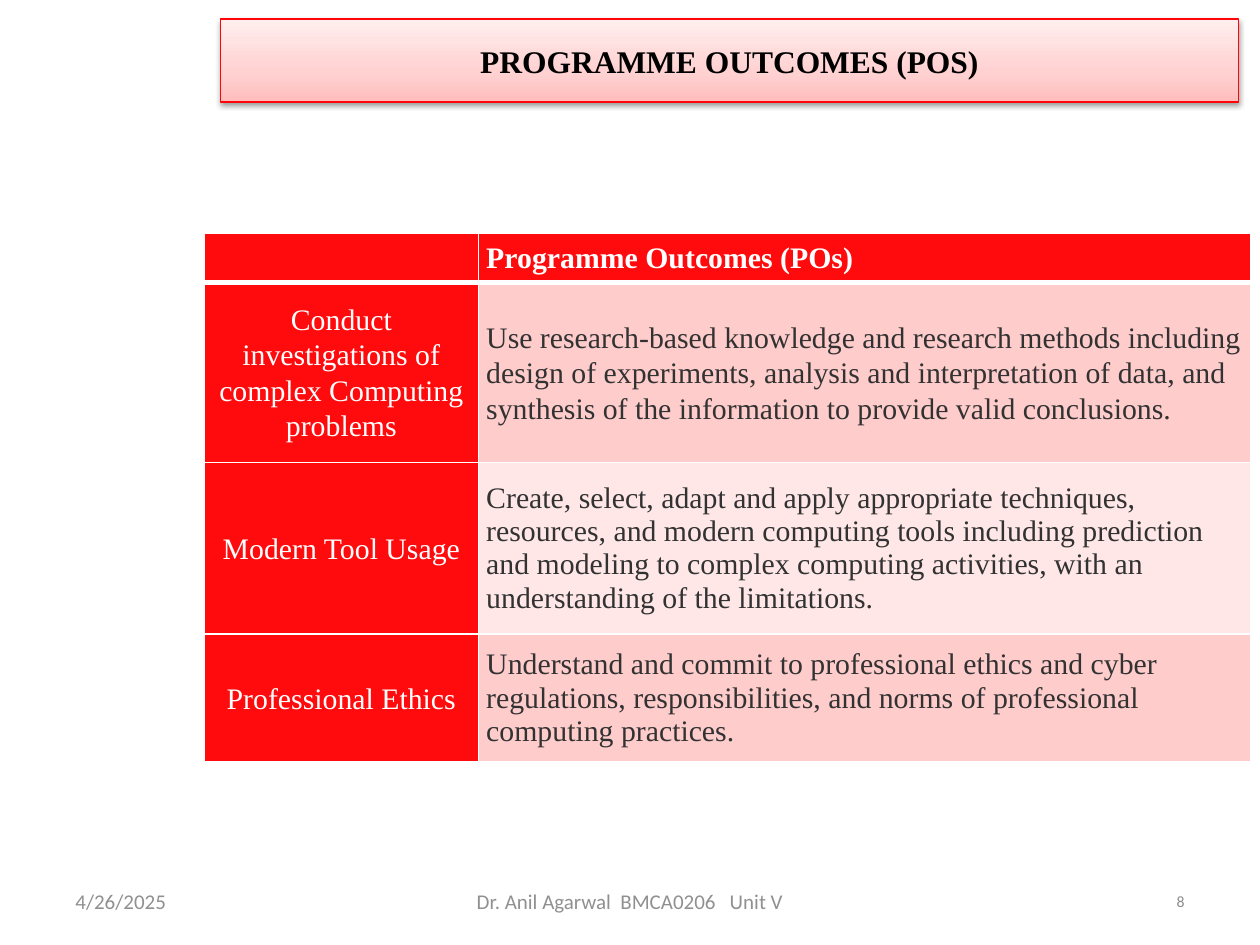
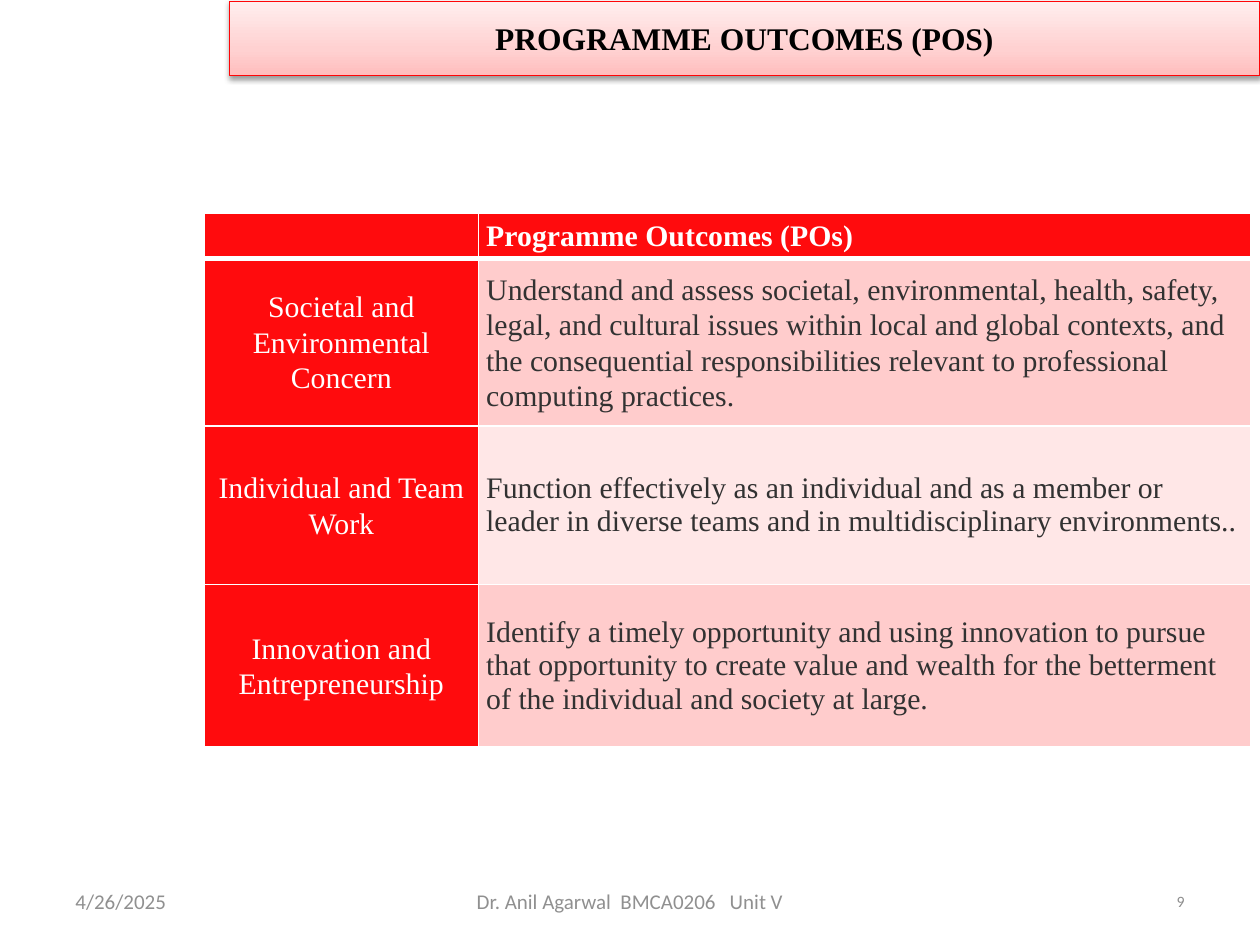
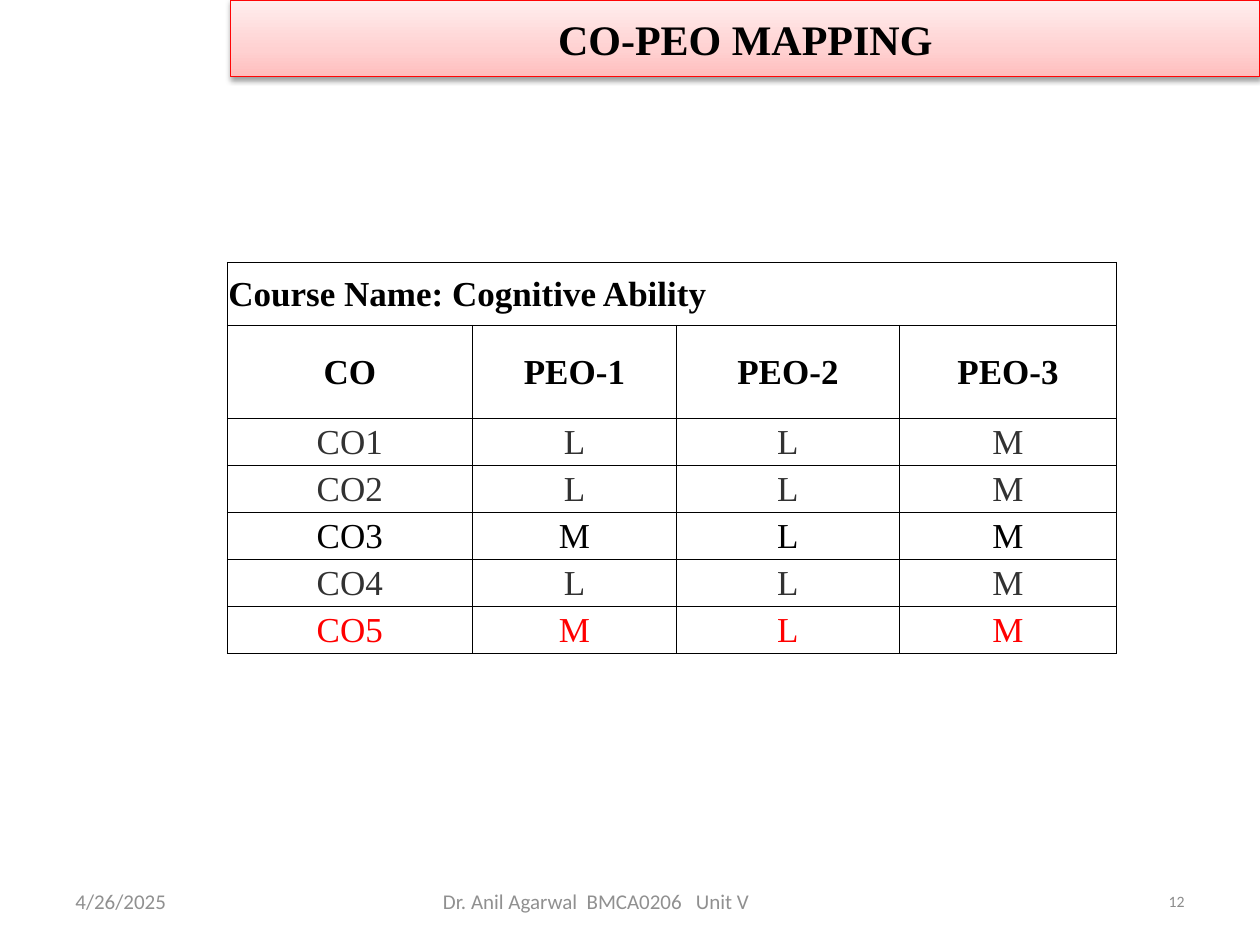
from lxml import etree
from pptx import Presentation
from pptx.dml.color import RGBColor
from pptx.enum.text import MSO_ANCHOR, PP_ALIGN
from pptx.oxml import parse_xml
from pptx.oxml.ns import nsdecls, qn
from pptx.util import Pt

# Colours and fonts
RED = RGBColor(0xFF, 0x0B, 0x0D)
EDGE = RGBColor(0xFF, 0x05, 0x07)
ALERT = RGBColor(0xFF, 0x00, 0x00)
PINK = RGBColor(0xFF, 0xCC, 0xCC)
PALE = RGBColor(0xFF, 0xE7, 0xE7)
WHITE = RGBColor(0xFF, 0xFF, 0xFF)
BLACK = RGBColor(0x00, 0x00, 0x00)
DARK = RGBColor(0x32, 0x32, 0x32)
GREY = RGBColor(0x90, 0x90, 0x90)
DIM = RGBColor(0x8C, 0x8C, 0x8C)
BAND = [(0, RGBColor(0xFF, 0xBD, 0xBD)), (35, RGBColor(0xFF, 0xD1, 0xD1)),
        (100, RGBColor(0xFF, 0xEE, 0xEE))]
SERIF, SANS = "Times New Roman", "Calibri"
LEFT, MID, RIGHT = PP_ALIGN.LEFT, PP_ALIGN.CENTER, PP_ALIGN.RIGHT

# Content: boxes are left, top, width, height in points
DATE = "4/26/2025"
FOOTER = "Dr. Anil Agarwal  BMCA0206   Unit V"
HEAD = "Programme Outcomes (POs)"
OUTCOMES = [
    dict(title="PROGRAMME OUTCOMES (POS)", band=(126, 10.8, 581.8, 47.5),
         number="8", top=133.2, heights=[28.1, 103, 97.9, 73.4], rows=[
             ("Conduct investigations of complex Computing problems",
              "Use research-based knowledge and research methods including "
              "design of experiments, analysis and interpretation of data, "
              "and synthesis of the information to provide valid conclusions."),
             ("Modern Tool Usage",
              "Create, select, adapt and apply appropriate techniques, "
              "resources, and modern computing tools including prediction "
              "and modeling to complex computing activities, with an "
              "understanding of the limitations."),
             ("Professional Ethics",
              "Understand and commit to professional ethics and cyber "
              "regulations, responsibilities, and norms of professional "
              "computing practices.")]),
    dict(title="PROGRAMME OUTCOMES (POS)", band=(131, 0.7, 589, 42.5),
         number="9", top=121.7, heights=[25.9, 95.8, 90.7, 92.9], rows=[
             ("Societal and Environmental Concern",
              "Understand and assess societal, environmental, health, safety, "
              "legal, and cultural issues within local and global contexts, "
              "and the consequential responsibilities relevant to "
              "professional computing practices."),
             ("Individual and Team Work",
              "Function effectively as an individual and as a member or "
              "leader in diverse teams and in multidisciplinary "
              "environments.."),
             ("Innovation and Entrepreneurship",
              "Identify a timely opportunity and using innovation to pursue "
              "that opportunity to create value and wealth for the betterment "
              "of the individual and society at large.")]),
]
MAPPING = dict(title="CO-PEO MAPPING", band=(131.8, 0, 588.2, 43.9), number="12")
COURSE = "Course Name: Cognitive Ability"
LEVELS = [
    ("CO", "PEO-1", "PEO-2", "PEO-3"),
    ("CO1", "L", "L", "M"),
    ("CO2", "L", "L", "M"),
    ("CO3", "M", "L", "M"),
    ("CO4", "L", "L", "M"),
    ("CO5", "M", "L", "M"),
]
TINTS = {"CO": BLACK, "CO3": BLACK, "CO5": ALERT}


# Shared helpers
def apply(item, values):
    for name, value in values.items():
        setattr(item, name, value)


def write(frame, text, size, color, face=SERIF, bold=False, align=LEFT, space=None):
    para = frame.paragraphs[0]
    run = para.add_run()
    run.text = text
    apply(para, dict(alignment=align, line_spacing=space))
    apply(run.font, dict(size=Pt(size), name=face, bold=bold))
    run.font.color.rgb = color


def add_band(slide, text, box, size):
    band = slide.shapes.title
    apply(band, dict(zip(("left", "top", "width", "height"), map(Pt, box))))
    stops = "".join(f'<a:gs pos="{pos * 1000}"><a:srgbClr val="{tint}"/></a:gs>'
                    for pos, tint in BAND)
    props = band.element.spPr
    props.append(parse_xml(
        f'<a:prstGeom {nsdecls("a")} prst="rect"><a:avLst/></a:prstGeom>'))
    props.append(parse_xml(
        f'<a:gradFill {nsdecls("a")} rotWithShape="1"><a:gsLst>{stops}</a:gsLst>'
        '<a:lin ang="16200000" scaled="0"/></a:gradFill>'))
    band.line.color.rgb = EDGE
    band.line.width = Pt(0.75)
    props.append(parse_xml(
        f'<a:effectLst {nsdecls("a")}><a:outerShdw blurRad="{Pt(3.1)}" '
        f'dist="{Pt(1.6)}" dir="5400000" rotWithShape="0"><a:srgbClr val="{BLACK}">'
        '<a:alpha val="38000"/></a:srgbClr></a:outerShdw></a:effectLst>'))
    apply(band.text_frame, dict(
        vertical_anchor=MSO_ANCHOR.MIDDLE, margin_left=Pt(5), margin_right=Pt(5),
        margin_top=Pt(3), margin_bottom=Pt(3)))
    write(band.text_frame, text, size, BLACK, bold=True, align=MID)


def add_footer(slide, number, align):
    parts = [(DATE, 36, 168, 12, GREY, LEFT), (FOOTER, 246, 228, 12, GREY, align),
             (number, 516, 168, 9, DIM, RIGHT)]
    for text, left, width, size, color, side in parts:
        box = slide.shapes.add_textbox(Pt(left), Pt(500.5), Pt(width), Pt(28.8))
        apply(box.text_frame, dict(word_wrap=True, vertical_anchor=MSO_ANCHOR.MIDDLE))
        write(box.text_frame, text, size, color, SANS, align=side)


def add_slide(deck, page, size, align=MID):
    slide = deck.slides.add_slide(deck.slide_layouts[5])
    add_band(slide, page["title"], page["band"], size)
    add_footer(slide, page["number"], align)
    return slide


def add_grid(slide, left, top, widths, heights):
    frame = slide.shapes.add_table(len(heights), len(widths), Pt(left), Pt(top),
                                   Pt(sum(widths)), Pt(sum(heights)))
    grid = frame.table
    apply(grid, dict(first_row=False, horz_banding=False))
    for col, width in zip(grid.columns, widths):
        col.width = Pt(width)
    for row, height in zip(grid.rows, heights):
        row.height = Pt(height)
    return grid


def set_cell(cell, color, widths, margins, fill=None):
    names = ("margin_left", "margin_top", "margin_right", "margin_bottom")
    apply(cell, dict(zip(names, map(Pt, margins)), vertical_anchor=MSO_ANCHOR.MIDDLE))
    props = cell._tc.get_or_add_tcPr()
    for side, width in zip("LRTB", widths):
        line = etree.SubElement(props, qn(f"a:ln{side}"), w=str(Pt(width)))
        solid = etree.SubElement(line, qn("a:solidFill"))
        etree.SubElement(solid, qn("a:srgbClr"), val=str(color))
    if fill is None:
        cell.fill.background()
    else:
        cell.fill.solid()
        cell.fill.fore_color.rgb = fill


# Slides with outcomes
def add_outcomes(deck, page):
    slide = add_slide(deck, page, 18)
    grid = add_grid(slide, 116.6, page["top"], [157, 441.4], page["heights"])
    for r, texts in enumerate([("", HEAD)] + page["rows"]):
        lines = (1, 1, 3 if r == 1 else 1, 3 if r == 0 else 1)
        for c, text in enumerate(texts):
            cell = grid.cell(r, c)
            plain = r > 0 and c > 0
            fill = (PALE, PINK)[r % 2] if plain else RED
            set_cell(cell, WHITE, lines, (4.3, 0, 4.3, 0), fill)
            if text:
                write(cell.text_frame, text, 17, DARK if plain else WHITE,
                      bold=r == 0, align=MID if c == 0 else LEFT,
                      space=1.0 if plain and r > 1 else 1.07)


# Slide with the mapping
def add_mapping(deck):
    slide = add_slide(deck, MAPPING, 24, PP_ALIGN.JUSTIFY)
    heights = [36, 53.3] + [26.9] * (len(LEVELS) - 1)
    grid = add_grid(slide, 129.8, 149.9, [140.2, 116.6, 127.4, 124.2], heights)
    for cell in grid.iter_cells():
        set_cell(cell, BLACK, [0.5] * 4, (0.7, 0.7, 0.7, 0))
    grid.cell(0, 0).merge(grid.cell(0, 3))
    write(grid.cell(0, 0).text_frame, COURSE, 20, BLACK, bold=True)
    for r, texts in enumerate(LEVELS, 1):
        for c, text in enumerate(texts):
            write(grid.cell(r, c).text_frame, text, 20, TINTS.get(texts[0], DARK),
                  bold=r == 1, align=MID)


def main():
    deck = Presentation()
    apply(deck, dict(slide_width=Pt(720), slide_height=Pt(540)))
    for page in OUTCOMES:
        add_outcomes(deck, page)
    add_mapping(deck)
    deck.save("out.pptx")


if __name__ == "__main__":
    main()
